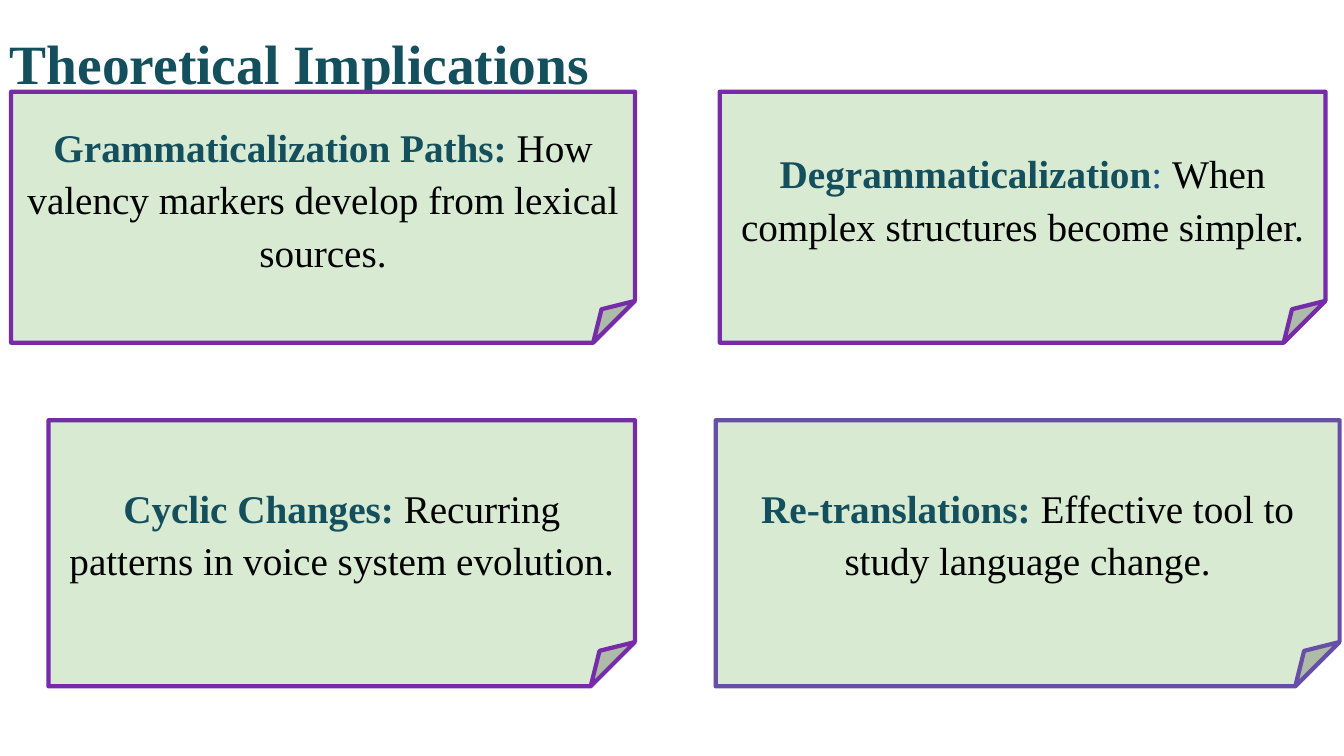
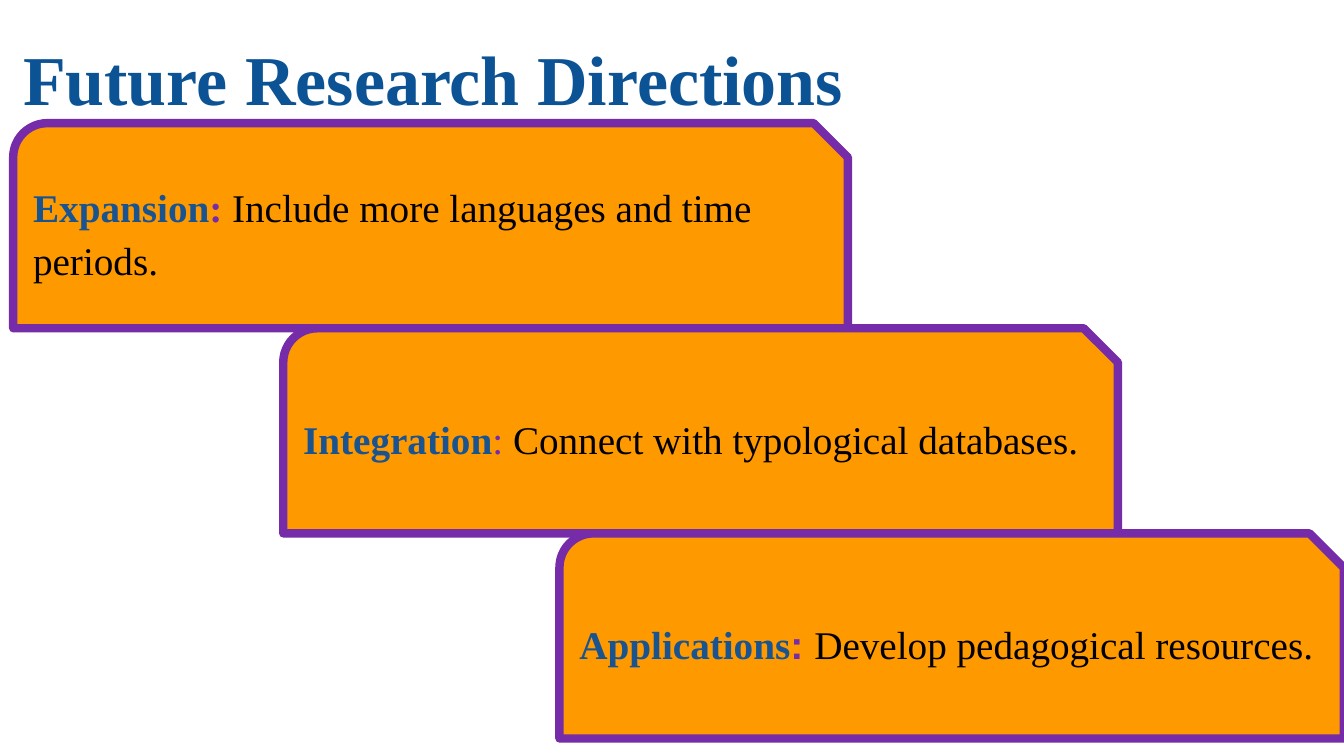
import pptx
import pptx.dml.color
import pptx.enum.shapes
import pptx.enum.text
import pptx.oxml.ns
import pptx.util
from lxml import etree

Pt = pptx.util.Pt
Shapes = pptx.enum.shapes.MSO_SHAPE
Align = pptx.enum.text.PP_ALIGN
Anchor = pptx.enum.text.MSO_ANCHOR
qn = pptx.oxml.ns.qn

SERIF = "Times New Roman"
TEAL = "134F5C"
NAVY = "1A5490"
BLUE = "0B5394"
PURPLE = "762BA8"
VIOLET = "674EA7"
MINT = "D9EAD3"
ORANGE = "FF9900"
BLACK = "000000"
LINE_SPACING = 1.12
BODY_SIZE = 28


def rgb(value):
    return pptx.dml.color.RGBColor.from_string(value)


def set_frame(frame, side, edge):
    frame.word_wrap = True
    frame.vertical_anchor = Anchor.MIDDLE
    frame.margin_left = frame.margin_right = Pt(side)
    frame.margin_top = frame.margin_bottom = Pt(edge)


def write_paragraph(paragraph, runs, size, align=Align.LEFT, space_before=0):
    paragraph.alignment = align
    paragraph.line_spacing = LINE_SPACING
    paragraph.space_before = Pt(space_before)
    paragraph.font.size = Pt(size)
    paragraph.font.name = SERIF
    for text, color, bold, *typeface in runs:
        run = paragraph.add_run()
        run.text = text
        run.font.color.rgb = rgb(color)
        run.font.bold = bold
        if typeface:
            run.font.name = typeface[0]


def add_title(slide, text, left, top, size, color):
    title = slide.shapes.add_textbox(Pt(left), Pt(top), Pt(894), Pt(60))
    set_frame(title.text_frame, 7.2, 3.6)
    write_paragraph(title.text_frame.paragraphs[0], [(text, color, True)], size)


def add_card(slide, kind, box, fill, outline, weight, runs, align, space_before):
    card = slide.shapes.add_shape(kind, *map(Pt, box))
    card.shadow.inherit = False
    card.fill.solid()
    card.fill.fore_color.rgb = rgb(fill)
    card.line.color.rgb = rgb(outline)
    card.line.width = Pt(weight)
    etree.SubElement(card.element.spPr.find(qn("a:ln")), qn("a:round"))
    set_frame(card.text_frame, 7.2, 7.2)
    write_paragraph(card.text_frame.paragraphs[0], runs, BODY_SIZE, align, space_before)


def build_implications(slide):
    add_title(slide, "Theoretical Implications", 0, 12, 39.6, TEAL)
    upper, lower = (65.5, 179.3), (300.2, 190.1)
    notes = [
        (7.9, 445.7, upper, PURPLE, 0, [
            ("Grammaticalization Paths: ", TEAL, True),
            ("How valency markers develop from lexical sources.", BLACK, False)]),
        (514.1, 432.7, upper, PURPLE, 21, [
            ("Degrammaticalization", TEAL, True),
            (": ", NAVY, False),
            ("When complex structures become simpler.", BLACK, False)]),
        (34.6, 419, lower, PURPLE, 21, [
            ("Cyclic Changes: ", TEAL, True),
            ("Recurring patterns in voice system evolution.", BLACK, False)]),
        (511.2, 445.7, lower, VIOLET, 0, [
            ("Re-translations: ", TEAL, True),
            ("Effective tool to study language change.", BLACK, False)]),
    ]
    for left, width, (top, height), outline, space_before, runs in notes:
        add_card(slide, Shapes.FOLDED_CORNER, (left, top, width, height), MINT,
                 outline, 3, runs, Align.CENTER, space_before)


def build_directions(slide):
    add_title(slide, "Future Research Directions", 9.4, 22, 50, BLUE)
    steps = [
        (9.4, 596.2, 0, "Expansion", (": ", PURPLE, True),
         "Include more languages and time periods."),
        (202.3, 596.2, 21, "Integration", (": ", PURPLE, False),
         "Connect with typological databases."),
        (399.6, 560.2, 21, "Applications", (": ", PURPLE, True, "Arial"),
         "Develop pedagogical resources."),
    ]
    first_top, step_height = 88, 146.5
    for index, (left, width, space_before, term, colon, detail) in enumerate(steps):
        box = (left, first_top + index * step_height, width, step_height)
        runs = [(term, NAVY, True), colon, (detail, BLACK, False)]
        add_card(slide, Shapes.SNIP_ROUND_RECTANGLE, box, ORANGE, PURPLE, 6,
                 runs, Align.LEFT, space_before)


def main():
    deck = pptx.Presentation()
    deck.slide_width, deck.slide_height = Pt(960), Pt(540)
    for build in (build_implications, build_directions):
        build(deck.slides.add_slide(deck.slide_layouts[6]))
    deck.save("out.pptx")


if __name__ == "__main__":
    main()
